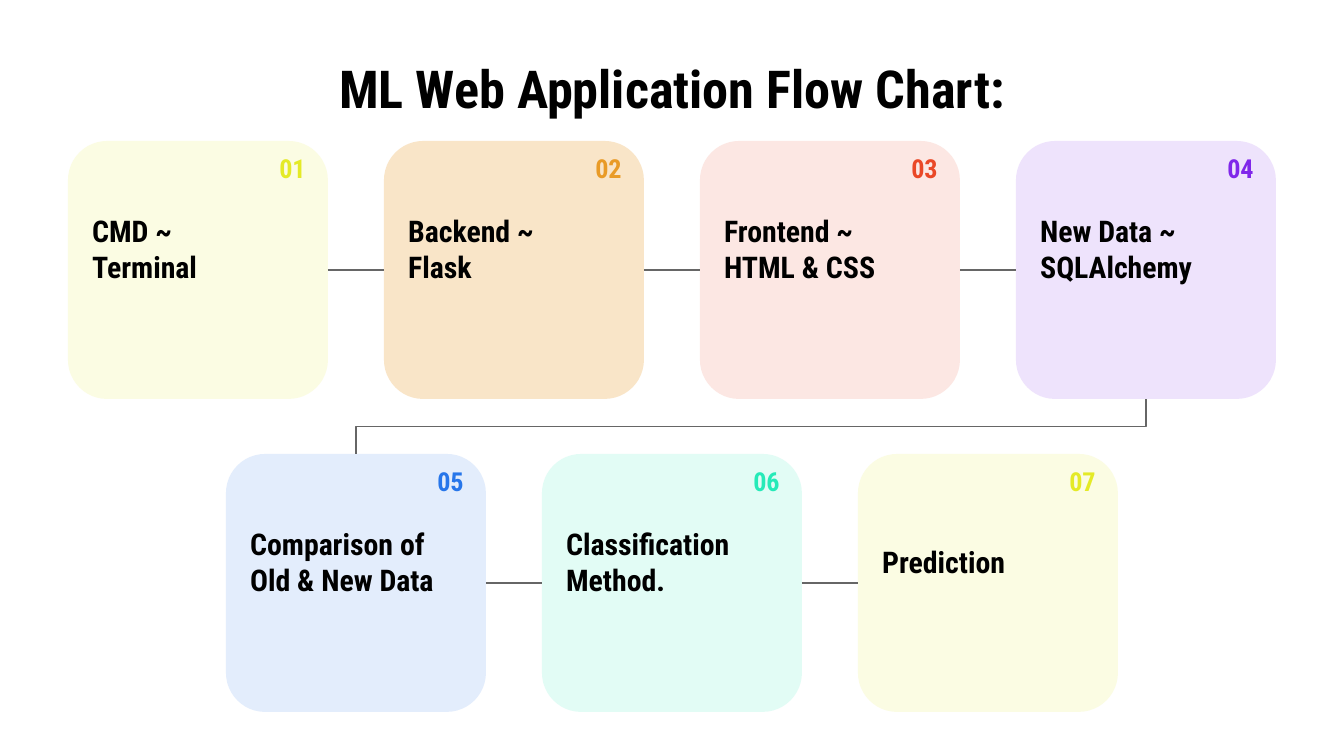
from pptx import Presentation
from pptx.dml.color import RGBColor
from pptx.enum.shapes import MSO_CONNECTOR as Link, MSO_SHAPE as Preset
from pptx.enum.text import MSO_ANCHOR as Anchor, PP_ALIGN as Align
from pptx.oxml.ns import qn
from pptx.util import Emu, Pt
from lxml.etree import SubElement

SLIDE_W, SLIDE_H = 1344, 756
CARD_W, CARD_H, GAP = 260, 258, 56
ROWS = [
    (141, [
        ("CMD ~ Terminal", "E4EA27", 13),
        ("Backend ~ Flask", "E99B27", 25),
        ("Frontend ~ HTML & CSS", "EA4827", 13),
        ("New Data ~ SQLAlchemy", "8027EA", 13),
    ]),
    (454, [
        ("Comparison of Old & New Data", "2776EA", 13),
        ("Classification Method.", "26EAB8", 13),
        ("Prediction", "E4EA27", 13),
    ]),
]


def px(length):
    return Emu(round(length * 9144000 / SLIDE_W))


def color(hex_text):
    return RGBColor.from_string(hex_text)


class FlowSlide:
    font = "Roboto Condensed"
    ink = "000000"
    line = "666666"

    def __init__(self, deck):
        self.shapes = deck.slides.add_slide(deck.slide_layouts[6]).shapes

    def text(self, left, top, width, height, words, size, hex_text, align=Align.LEFT):
        box = self.shapes.add_textbox(px(left), px(top), px(width), px(height))
        frame = box.text_frame
        frame.text = words
        frame.word_wrap = True
        frame.vertical_anchor = Anchor.MIDDLE
        frame.margin_left = frame.margin_right = Pt(7.2)
        frame.margin_top = frame.margin_bottom = Pt(7.2)
        para = frame.paragraphs[0]
        para.alignment = align
        font = para.runs[0].font
        font.name, font.size, font.bold = self.font, Pt(size), True
        font.color.rgb = color(hex_text)

    def card(self, left, top, number, label, hex_text, opacity):
        card = self.shapes.add_shape(
            Preset.ROUNDED_RECTANGLE, px(left), px(top), px(CARD_W), px(CARD_H))
        card.adjustments[0] = 0.152
        card.shadow.inherit = False
        card.line.fill.background()
        card.fill.solid()
        card.fill.fore_color.rgb = color(hex_text)
        tint = card.element.spPr.find(qn("a:solidFill")).find(qn("a:srgbClr"))
        SubElement(tint, qn("a:alpha")).set("val", str(opacity * 1000))
        self.text(left + 11, top + 63, 214, 89, label, 16, self.ink)
        self.text(left + 196, top, 55, 55, f"{number:02d}", 14, hex_text, Align.RIGHT)
        return card

    def connector(self, kind, start, end):
        link = self.shapes.add_connector(kind, *map(px, start + end))
        link.line.color.rgb = color(self.line)
        link.line.width = Pt(0.75)
        SubElement(link.element.spPr, qn("a:effectLst"))
        return link

    def straight(self, left_card, right_card):
        link = self.connector(Link.STRAIGHT, (0, 0), (0, 0))
        link.begin_connect(left_card, 3)
        link.end_connect(right_card, 1)

    def elbow_down(self, start, end):
        center_x, center_y = (start[0] + end[0]) / 2, (start[1] + end[1]) / 2
        half_w, half_h = (end[1] - start[1]) / 2, (start[0] - end[0]) / 2
        link = self.connector(
            Link.ELBOW,
            (center_x - half_w, center_y - half_h),
            (center_x + half_w, center_y + half_h))
        link.element.spPr.xfrm.rot = 90


def row_left(count):
    return (SLIDE_W - count * CARD_W - (count - 1) * GAP) // 2


def main():
    deck = Presentation()
    deck.slide_width, deck.slide_height = px(SLIDE_W), px(SLIDE_H)
    page = FlowSlide(deck)
    page.text(67, 60, 1210, 56, "ML Web Application Flow Chart:", 28, page.ink, Align.CENTER)

    number = 0
    for top, steps in ROWS:
        cards = []
        for column, step in enumerate(steps):
            number += 1
            left = row_left(len(steps)) + column * (CARD_W + GAP)
            cards.append(page.card(left, top, number, *step))
        for left_card, right_card in zip(cards, cards[1:]):
            page.straight(left_card, right_card)

    (first_top, first_steps), (second_top, second_steps) = ROWS
    last_middle = SLIDE_W - row_left(len(first_steps)) - CARD_W // 2
    next_middle = row_left(len(second_steps)) + CARD_W // 2
    page.elbow_down((last_middle, first_top + CARD_H), (next_middle, second_top))
    deck.save("out.pptx")


if __name__ == "__main__":
    main()
